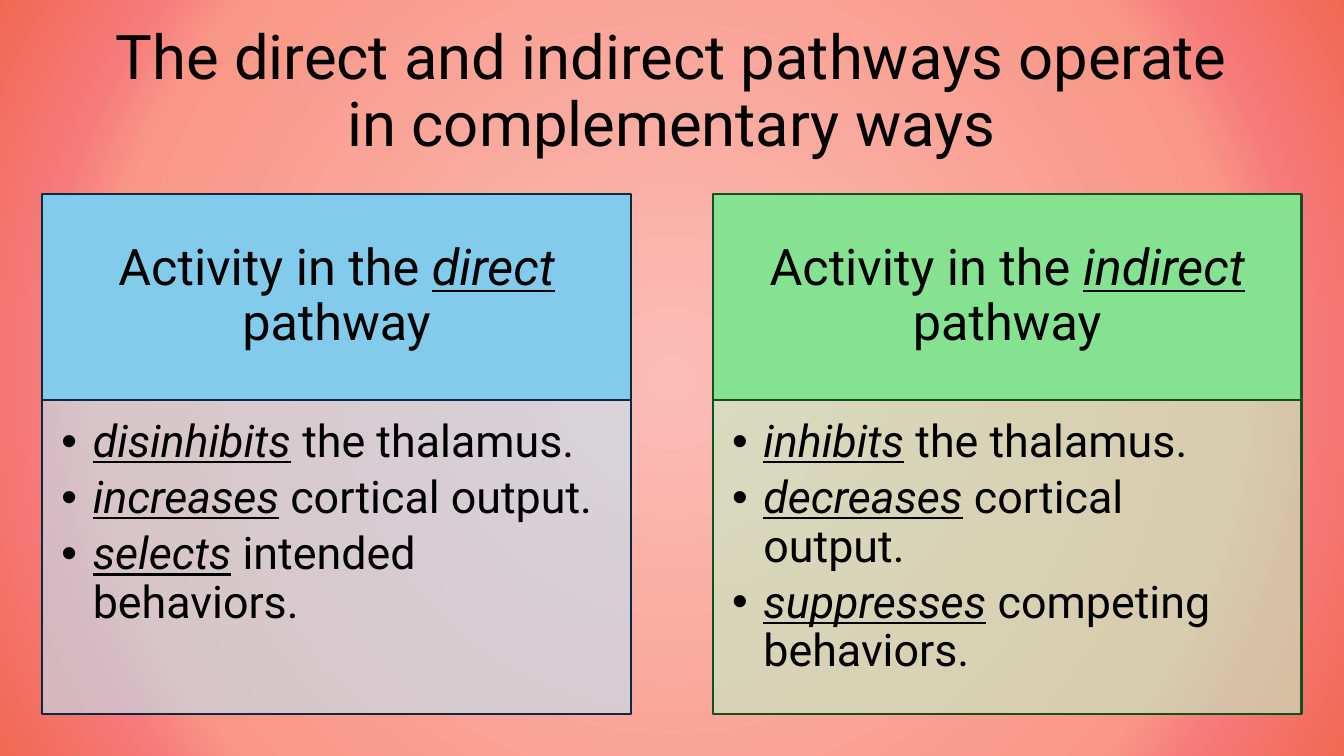
import pptx
import pptx.dml.color
import pptx.enum.shapes
import pptx.enum.text
import pptx.oxml
import pptx.oxml.ns
import pptx.util
from dataclasses import dataclass
from lxml import etree

Cm = pptx.util.Cm
Pt = pptx.util.Pt
qn = pptx.oxml.ns.qn
rgb = pptx.dml.color.RGBColor.from_string
PP_ALIGN = pptx.enum.text.PP_ALIGN
MSO_ANCHOR = pptx.enum.text.MSO_ANCHOR


@dataclass(frozen=True)
class Theme:
    font: str = "Roboto"
    ink: str = "000000"
    title_size: int = 44
    heading_size: int = 36
    effect_size: int = 32
    line_spacing: float = 0.9
    backdrop: tuple = ((0, "FBBDB7"), (74, "F99787"), (83, "F67A7A"), (100, "F06952"))
    # heading fill, body fill, outline
    direct: tuple = ("83CBEB", "C1E5F5", "0E2841")
    indirect: tuple = ("84E291", "C2F1C8", "13501B")
    body_opacity: int = 60


THEME = Theme()

# heading key word, colours, then (key word, rest) for each effect
PATHWAYS = [
    ("direct", THEME.direct, [
        ("disinhibits", " the thalamus."),
        ("increases", " cortical output."),
        ("selects", " intended behaviors."),
    ]),
    ("indirect", THEME.indirect, [
        ("inhibits", " the thalamus."),
        ("decreases", " cortical output."),
        ("suppresses", " competing behaviors."),
    ]),
]


def paint_background(slide):
    slide.background.fill.gradient()
    gradient = slide.element.find(".//" + qn("a:gradFill"))
    for child in list(gradient):
        gradient.remove(child)
    stops = etree.SubElement(gradient, qn("a:gsLst"))
    for position, colour in THEME.backdrop:
        stop = etree.SubElement(stops, qn("a:gs"), pos=str(position * 1000))
        etree.SubElement(stop, qn("a:srgbClr"), val=colour)
    circle = etree.SubElement(gradient, qn("a:path"), attrib={"path": "circle"})
    etree.SubElement(circle, qn("a:fillToRect"), l="50000", t="50000", r="50000", b="50000")


def format_paragraph(paragraph, size, align):
    paragraph.alignment = align
    paragraph.line_spacing = THEME.line_spacing
    paragraph.font.name = THEME.font
    paragraph.font.size = Pt(size)
    paragraph.font.color.rgb = rgb(THEME.ink)


def add_key_word(paragraph, word):
    key_word = paragraph.add_run()
    key_word.text = word
    key_word.font.italic = True
    key_word.font.underline = True


def add_bullet(paragraph, indent):
    properties = paragraph._p.get_or_add_pPr()
    properties.set("marL", str(indent))
    properties.set("indent", str(-indent))
    etree.SubElement(properties, qn("a:buFont"), typeface="Arial")
    etree.SubElement(properties, qn("a:buChar"), char="•")


def add_panel(slide, box, fill, outline, insets, anchor):
    panel = slide.shapes.add_shape(pptx.enum.shapes.MSO_SHAPE.RECTANGLE, *box)
    panel.shadow.inherit = False
    panel.fill.solid()
    panel.fill.fore_color.rgb = rgb(fill)
    panel.line.color.rgb = rgb(outline)
    panel.line.width = Pt(1.5)
    frame = panel.text_frame
    frame.word_wrap = True
    frame.vertical_anchor = anchor
    frame.margin_left, frame.margin_top, frame.margin_right, frame.margin_bottom = insets
    return panel


def add_title(slide, box):
    title = slide.shapes.title
    title.left, title.top, title.width, title.height = box
    frame = title.text_frame
    frame.text = "The direct and indirect pathways operate in complementary ways"
    frame.word_wrap = True
    frame.auto_size = pptx.enum.text.MSO_AUTO_SIZE.NONE
    frame.vertical_anchor = MSO_ANCHOR.MIDDLE
    format_paragraph(frame.paragraphs[0], THEME.title_size, PP_ALIGN.CENTER)


def add_pathway(slide, box, name, colours, effects):
    left, top, width, height = box
    heading_fill, body_fill, outline = colours
    heading_height = Cm(5.2)

    # Heading
    heading = add_panel(slide, (left, top, width, heading_height), heading_fill, outline,
                        (Cm(0.71), Cm(0.41), Cm(0.71), Cm(0.41)), MSO_ANCHOR.MIDDLE)
    sentence = heading.text_frame.paragraphs[0]
    format_paragraph(sentence, THEME.heading_size, PP_ALIGN.CENTER)
    sentence.add_run().text = "Activity in the "
    add_key_word(sentence, name)
    sentence.add_run().text = " pathway"

    # Effects on a translucent body
    body = add_panel(slide, (left, top + heading_height, width, height - heading_height),
                     body_fill, outline,
                     (Cm(0.48), Cm(0.48), Cm(0.64), Cm(0.71)), MSO_ANCHOR.TOP)
    colour = body.element.spPr.find(qn("a:solidFill")).find(qn("a:srgbClr"))
    etree.SubElement(colour, qn("a:alpha"), val=str(THEME.body_opacity * 1000))
    frame = body.text_frame
    for index, (key_word, rest) in enumerate(effects):
        effect = frame.add_paragraph() if index else frame.paragraphs[0]
        add_bullet(effect, Cm(0.79))
        format_paragraph(effect, THEME.effect_size, PP_ALIGN.LEFT)
        effect.space_after = Pt(5.5)
        add_key_word(effect, key_word)
        effect.add_run().text = rest


def main():
    deck = pptx.Presentation()
    deck.slide_width, deck.slide_height = Cm(33.87), Cm(19.05)
    slide = deck.slides.add_slide(deck.slide_layouts.get_by_name("Title Only"))
    paint_background(slide)
    add_title(slide, (Cm(2.33), Cm(0), Cm(29.21), Cm(4.7)))

    # Two equal columns, flush with the side margins
    margin, width = Cm(1.07), Cm(14.83)
    step = deck.slide_width - 2 * margin - width
    for column, pathway in enumerate(PATHWAYS):
        add_pathway(slide, (margin + column * step, Cm(4.88), width, Cm(13.12)), *pathway)
    deck.save("out.pptx")


if __name__ == "__main__":
    main()
